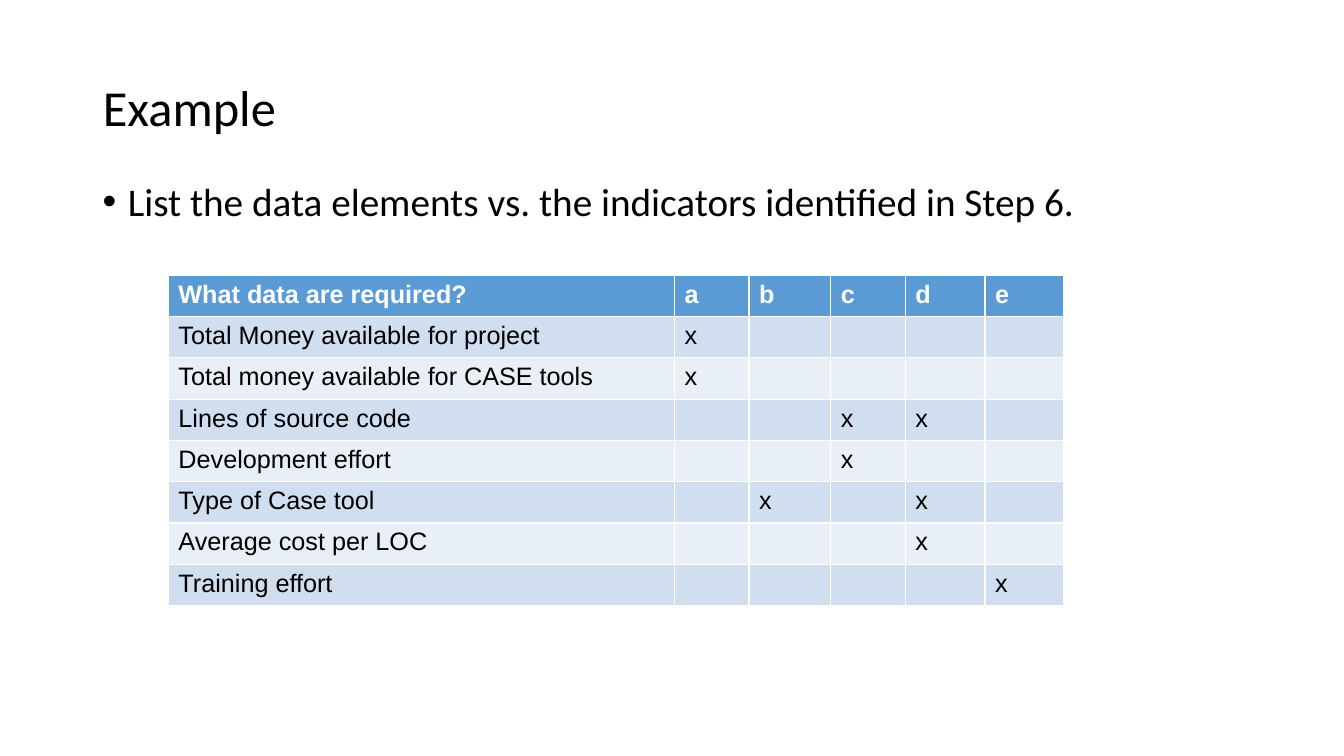
from lxml import etree
from pptx import Presentation
from pptx.dml.color import RGBColor
from pptx.enum.text import MSO_ANCHOR, PP_ALIGN
from pptx.oxml.ns import qn
from pptx.util import Inches, Pt

LEFT = PP_ALIGN.LEFT
MIDDLE = MSO_ANCHOR.MIDDLE

TITLE = "Example"
POINT = "List the data elements vs. the indicators identified in Step 6."
HEAD = "What data are required?"
MARKS = "abcde"
NEEDS = [
    ("Total Money available for project", "a"),
    ("Total money available for CASE tools", "a"),
    ("Lines of source code", "cd"),
    ("Development effort", "c"),
    ("Type of Case tool", "bd"),
    ("Average cost per LOC", "d"),
    ("Training effort", "e"),
]

BLACK = RGBColor(0x00, 0x00, 0x00)
WHITE = RGBColor(0xFF, 0xFF, 0xFF)
BLUE = RGBColor(0x5B, 0x9B, 0xD5)
BANDS = [RGBColor(0xE9, 0xEF, 0xF7), RGBColor(0xD0, 0xDE, 0xEF)]

WIDE, HIGH = 13.33, 7.5
EDGE, SPAN = 0.92, 11.5
COLS = [5.02, 0.74, 0.81, 0.74, 0.79, 0.78]
ROW = 0.41


def box(left, top, width, height):
    return [Inches(n) for n in (left, top, width, height)]


def style(par, size, face, color, bold=False):
    for run in par.runs:
        font = run.font
        font.size, font.name, font.bold = Pt(size), face, bold
        font.color.rgb = color


def bullet(par, indent):
    props = par._p.get_or_add_pPr()
    props.set("marL", str(Inches(indent)))
    props.set("indent", str(-Inches(indent)))
    etree.SubElement(props, qn("a:buFont")).set("typeface", "Arial")
    etree.SubElement(props, qn("a:buChar")).set("char", "•")


def add_title(slide):
    title = slide.shapes.title
    title.left, title.top, title.width, title.height = box(EDGE, 0.68, SPAN, 0.82)
    frame = title.text_frame
    frame.text = TITLE
    frame.vertical_anchor = MIDDLE
    par = frame.paragraphs[0]
    par.alignment, par.line_spacing = LEFT, 0.9
    style(par, 36, "Calibri", BLACK)


def add_point(slide):
    frame = slide.shapes.add_textbox(*box(EDGE, 1.76, SPAN, 0.69)).text_frame
    frame.word_wrap = True
    frame.text = POINT
    par = frame.paragraphs[0]
    par.line_spacing = 0.9
    bullet(par, 0.25)
    style(par, 28, "Calibri", BLACK)


def add_grid(slide):
    rows = [[HEAD, *MARKS]]
    rows += [[need, *("x" if m in used else "" for m in MARKS)]
             for need, used in NEEDS]
    area = box(1.67, 2.73, sum(COLS), ROW * len(rows))
    table = slide.shapes.add_table(len(rows), len(COLS), *area).table
    for col, width in zip(table.columns, COLS):
        col.width = Inches(width)
    for r, row in enumerate(rows):
        table.rows[r].height = Inches(ROW)
        for c, text in enumerate(row):
            cell = table.cell(r, c)
            cell.text = text
            cell.fill.solid()
            cell.fill.fore_color.rgb = BANDS[r % 2] if r else BLUE
            par = cell.text_frame.paragraphs[0]
            style(par, 18, "Arial", BLACK if r else WHITE, r == 0)


def main():
    deck = Presentation()
    deck.slide_width, deck.slide_height = Inches(WIDE), Inches(HIGH)
    slide = deck.slides.add_slide(deck.slide_layouts.get_by_name("Title Only"))
    add_title(slide)
    add_point(slide)
    add_grid(slide)
    deck.save("out.pptx")


if __name__ == "__main__":
    main()
